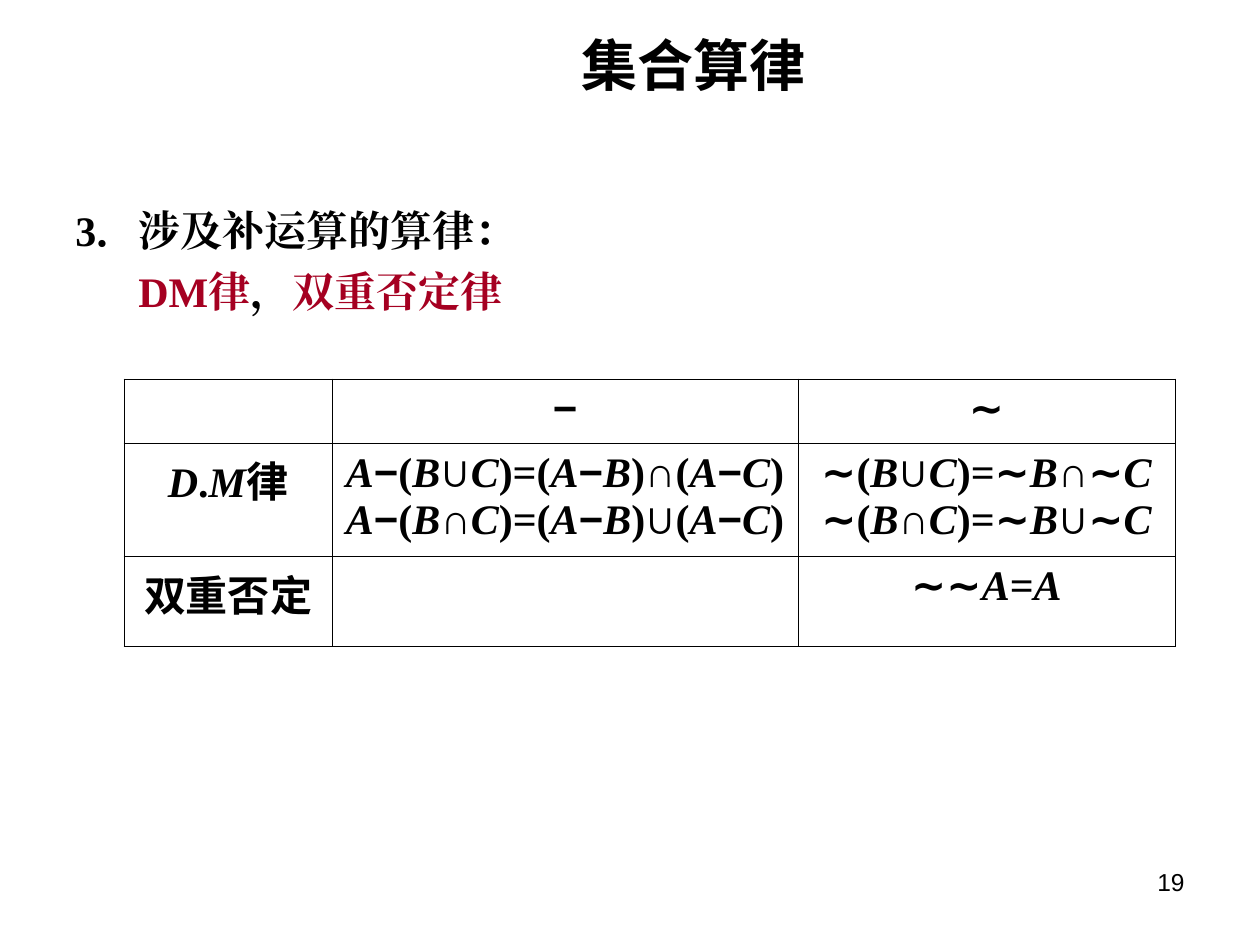
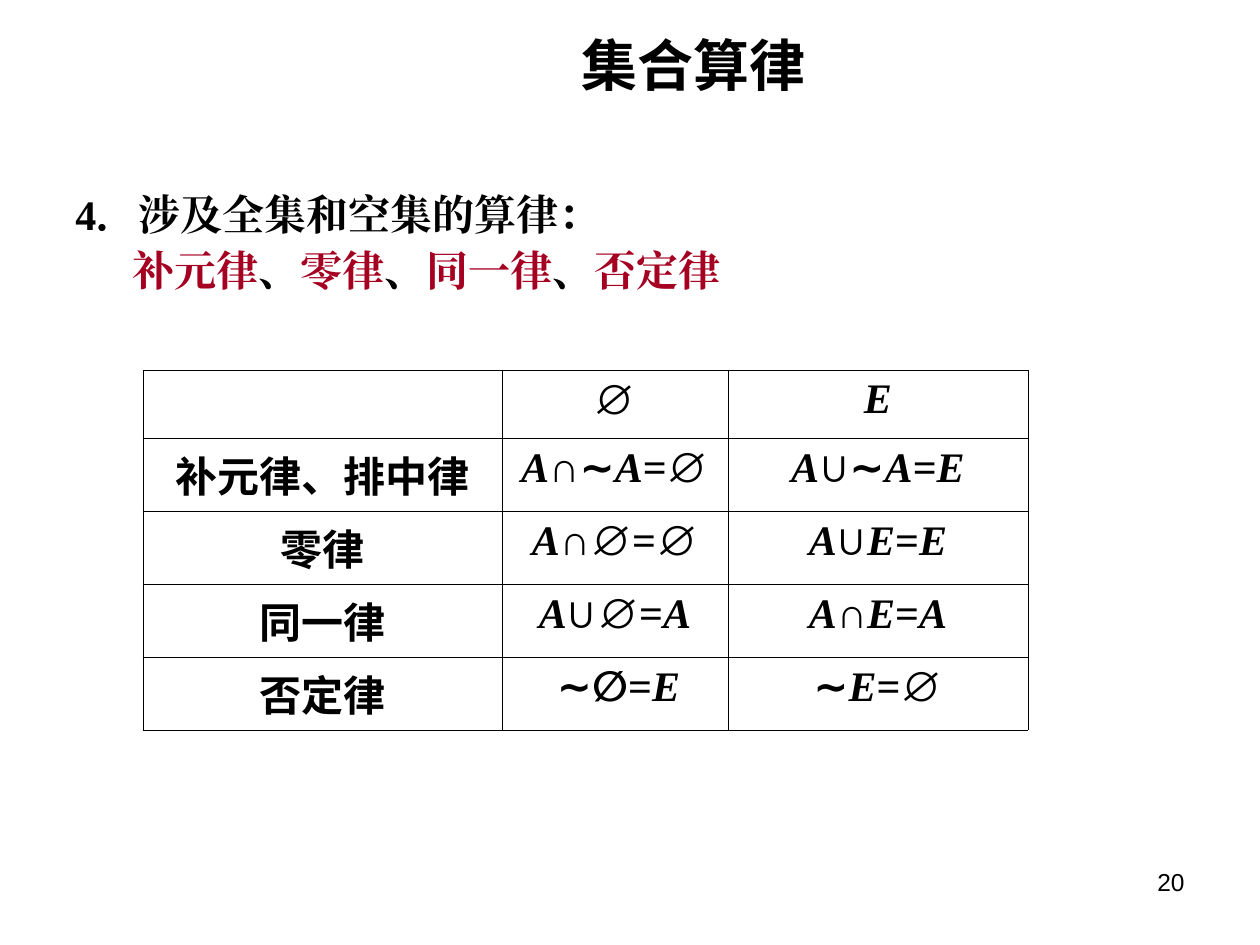
from itertools import groupby

from lxml import etree
from pptx import Presentation
from pptx.dml.color import RGBColor
from pptx.enum.text import MSO_ANCHOR, MSO_AUTO_SIZE, PP_ALIGN
from pptx.oxml.ns import qn
from pptx.util import Pt

CENTER, LEFT, RIGHT = PP_ALIGN.CENTER, PP_ALIGN.LEFT, PP_ALIGN.RIGHT
MIDDLE = MSO_ANCHOR.MIDDLE
NO_AUTOFIT = MSO_AUTO_SIZE.NONE
SANS, SERIF, CHINESE = "Arial", "Times New Roman", "Noto Sans CJK SC"
BLACK, RED = "000000", "A50021"
BORDER_WIDTH = Pt(0.45)
OPERATORS = "−∼∪∩∅"

TITLE = "集合算律"
TITLE_BOX = (272, 35, 843, 58)
NUMBER_BOX = (903, 861, 294, 66)

SLIDES = [
    {
        "number": "19",
        "heading": "3．涉及补运算的算律：",
        "laws": [("DM律", RED), ("，", BLACK), ("双重否定律", RED)],
        "text_box": (63, 198, 1134, 139),
        "laws_indent": 63,
        "line_spacing": None,
        "table_at": (124, 379),
        "columns": [208, 466, 377],
        "rows": [64, 113, 90],
        "cells": [
            ["", "−", "∼"],
            ["D.M律",
             "A−(B∪C)=(A−B)∩(A−C)\nA−(B∩C)=(A−B)∪(A−C)",
             "∼(B∪C)=∼B∩∼C\n∼(B∩C)=∼B∪∼C"],
            ["双重否定", "", "∼∼A=A"],
        ],
        "indented_cells": {},
    },
    {
        "number": "20",
        "heading": "4．涉及全集和空集的算律：",
        "laws": [("补元律", RED), ("、", BLACK), ("零律", RED), ("、", BLACK),
                 ("同一律", RED), ("、", BLACK), ("否定律", RED)],
        "text_box": (63, 188, 1134, 118),
        "laws_indent": 57,
        "line_spacing": 0.9,
        "table_at": (143, 370),
        "columns": [359, 226, 300],
        "rows": [68] + [73] * 4,
        "cells": [
            ["", "∅", "E"],
            ["补元律、排中律", "A∩∼A=∅", "A∪∼A=E"],
            ["零律", "A∩∅=∅", "A∪E=E"],
            ["同一律", "A∪∅=A", "A∩E=A"],
            ["否定律", "∼∅=E", "∼E=∅"],
        ],
        "indented_cells": {(4, 1): 55},
    },
]


def px(value):
    return round(value * 914400 / 126)


def box(values):
    return [px(value) for value in values]


def color(hex_text):
    return RGBColor.from_string(hex_text)


def set_font(font, name, size, bold=True):
    font.name, font.size, font.bold = name, Pt(size), bold
    font.color.rgb = color(BLACK)


def set_east_asian_font(run, name):
    etree.SubElement(run.font._element, qn("a:ea")).set("typeface", name)


def formula_style(character):
    """Return the font name and italic flag a character takes in the tables."""
    if character in OPERATORS:
        return SANS, False
    if character >= "、":
        return CHINESE, False
    return SERIF, character.isalpha()


def write_formula(paragraph, text):
    for (name, italic), characters in groupby(text, formula_style):
        run = paragraph.add_run()
        run.text = "".join(characters)
        run.font.name, run.font.italic = name, italic
        if name == CHINESE:
            set_east_asian_font(run, name)
    paragraph.font.size, paragraph.font.bold = Pt(24), True
    for run in paragraph.runs:
        run.font.size, run.font.bold = Pt(24), True
        run.font.color.rgb = color(BLACK)


def draw_borders(cell):
    properties = cell._tc.get_or_add_tcPr()
    for side in ("lnL", "lnR", "lnT", "lnB"):
        line = etree.SubElement(properties, qn(f"a:{side}"), w=str(BORDER_WIDTH))
        fill = etree.SubElement(line, qn("a:solidFill"))
        etree.SubElement(fill, qn("a:srgbClr"), val=BLACK)


def add_title(slide):
    title = slide.shapes.title
    title.left, title.top, title.width, title.height = box(TITLE_BOX)
    frame = title.text_frame
    frame.text = TITLE
    frame.auto_size = NO_AUTOFIT
    frame.vertical_anchor = MIDDLE
    paragraph = frame.paragraphs[0]
    paragraph.alignment = CENTER
    set_font(paragraph.font, SANS, 32)
    set_east_asian_font(paragraph.runs[0], SANS)


def add_number(slide, number):
    frame = slide.shapes.add_textbox(*box(NUMBER_BOX)).text_frame
    frame.word_wrap = True
    paragraph = frame.paragraphs[0]
    paragraph.text = number
    paragraph.alignment = RIGHT
    set_font(paragraph.font, SANS, 14, bold=False)


def add_heading_and_laws(slide, content):
    frame = slide.shapes.add_textbox(*box(content["text_box"])).text_frame
    frame.word_wrap = True
    heading, laws = frame.paragraphs[0], frame.add_paragraph()
    laws.space_before = Pt(6)
    laws._p.get_or_add_pPr().set("marL", str(px(content["laws_indent"])))
    lines = [(heading, [(content["heading"], BLACK)]), (laws, content["laws"])]
    for paragraph, parts in lines:
        paragraph.line_spacing = content["line_spacing"]
        set_font(paragraph.font, SERIF, 24)
        for text, hex_text in parts:
            run = paragraph.add_run()
            run.text = text
            run.font.color.rgb = color(hex_text)
            set_east_asian_font(run, SERIF)


def add_law_table(slide, content):
    columns, rows = content["columns"], content["rows"]
    area = box((*content["table_at"], sum(columns), sum(rows)))
    table = slide.shapes.add_table(len(rows), len(columns), *area).table
    table.first_row = table.horz_banding = False
    for column, width in zip(table.columns, columns):
        column.width = px(width)
    for row, height in zip(table.rows, rows):
        row.height = px(height)
    for row_index, texts in enumerate(content["cells"]):
        for column_index, text in enumerate(texts):
            cell = table.cell(row_index, column_index)
            draw_borders(cell)
            cell.fill.background()
            indent = content["indented_cells"].get((row_index, column_index))
            if indent:
                cell.margin_left = px(indent)
            frame = cell.text_frame
            for line_index, line in enumerate(text.split("\n")):
                paragraph = frame.add_paragraph() if line_index else frame.paragraphs[0]
                paragraph.alignment = LEFT if indent else CENTER
                write_formula(paragraph, line)


def main():
    presentation = Presentation()
    presentation.slide_width, presentation.slide_height = px(1260), px(945)
    title_only = presentation.slide_layouts[5]
    for content in SLIDES:
        slide = presentation.slides.add_slide(title_only)
        add_number(slide, content["number"])
        add_title(slide)
        add_heading_and_laws(slide, content)
        add_law_table(slide, content)
    presentation.save("out.pptx")


if __name__ == "__main__":
    main()
